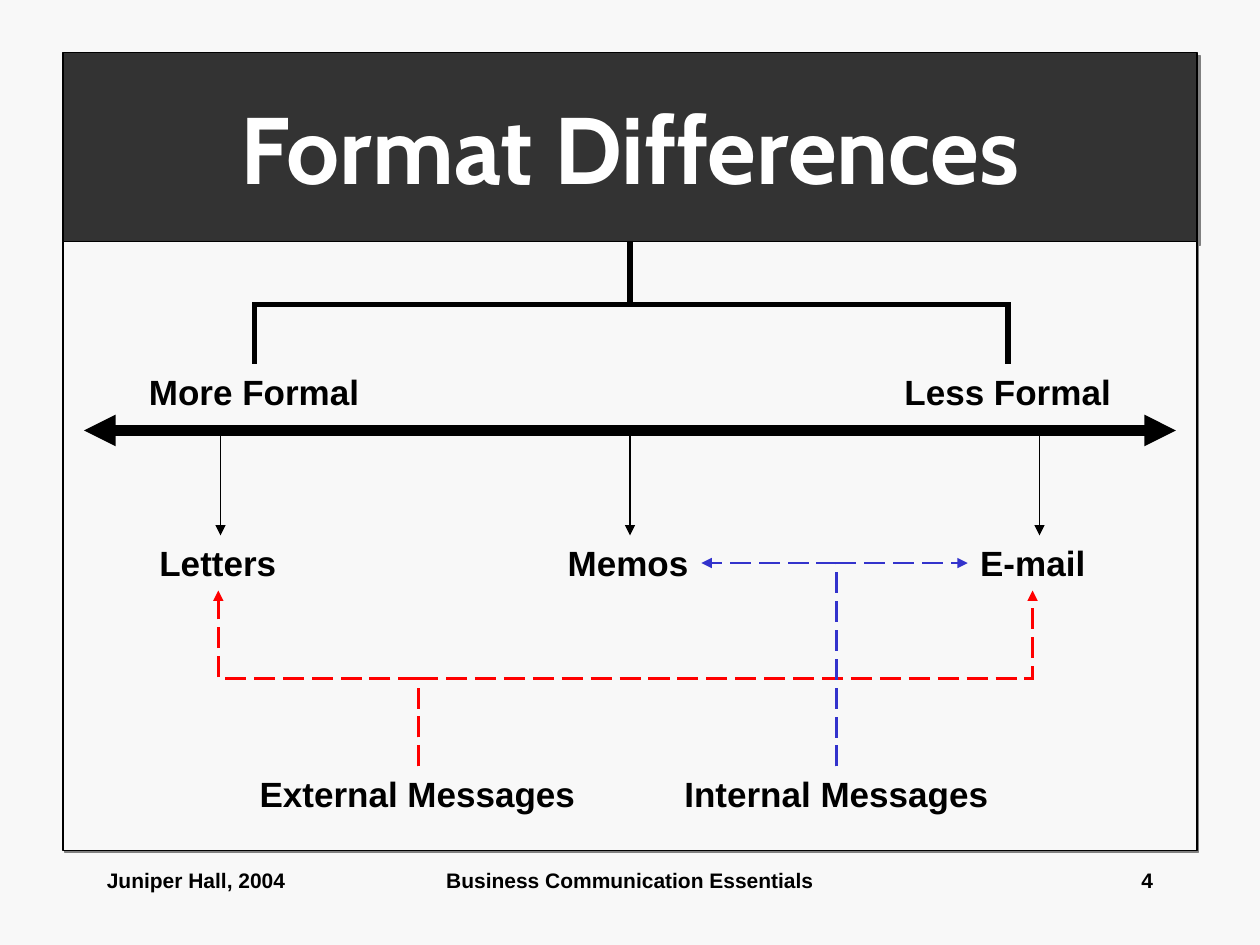
from lxml.etree import SubElement
from pptx import Presentation
from pptx.dml.color import RGBColor
from pptx.enum.dml import MSO_LINE
from pptx.enum.shapes import MSO_CONNECTOR, MSO_SHAPE
from pptx.enum.text import MSO_ANCHOR, MSO_AUTO_SIZE, PP_ALIGN
from pptx.oxml.ns import qn
from pptx.util import Pt

BLACK = RGBColor(0x00, 0x00, 0x00)
WHITE = RGBColor(0xFF, 0xFF, 0xFF)
PAPER = RGBColor(0xF8, 0xF8, 0xF8)
CHARCOAL = RGBColor(0x33, 0x33, 0x33)
GRAY = RGBColor(0x80, 0x80, 0x80)
RED = RGBColor(0xFF, 0x00, 0x00)
BLUE = RGBColor(0x33, 0x33, 0xCC)

deck = Presentation()
deck.slide_width, deck.slide_height = Pt(720), Pt(540)
page = deck.slides.add_slide(deck.slide_layouts[5])
page.background.fill.solid()
page.background.fill.fore_color.rgb = PAPER


def add_label(text, left, top, width, height, size, align=PP_ALIGN.LEFT, wrap=False):
    box = page.shapes.add_textbox(Pt(left), Pt(top), Pt(width), Pt(height))
    box.text_frame.word_wrap = wrap
    box.text_frame.auto_size = MSO_AUTO_SIZE.NONE if wrap else MSO_AUTO_SIZE.SHAPE_TO_FIT_TEXT
    para = box.text_frame.paragraphs[0]
    para.alignment = align
    span = para.add_run()
    span.text = text
    span.font.name, span.font.size, span.font.bold = "Arial", Pt(size), True
    span.font.color.rgb = BLACK
    return box


def style_line(connector, color, width, ends=(), dashed=False):
    connector.line.color.rgb = color
    connector.line.width = Pt(width)
    if dashed:
        connector.line.dash_style = MSO_LINE.LONG_DASH
    properties = connector._element.spPr
    outline = properties.find(qn("a:ln"))
    SubElement(outline, qn("a:miter"), lim="800000")
    for end in ends:
        SubElement(outline, qn(end), type="triangle")
    SubElement(properties, qn("a:effectLst"))


title = page.shapes.title
title.left, title.top, title.width, title.height = Pt(36), Pt(30), Pt(648), Pt(108)
frame = title.text_frame
frame.auto_size = MSO_AUTO_SIZE.NONE
frame.vertical_anchor = MSO_ANCHOR.MIDDLE
para = frame.paragraphs[0]
para.alignment = PP_ALIGN.CENTER
span = para.add_run()
span.text = "Format Differences"
span.font.name, span.font.size, span.font.bold = "Cabin", Pt(54), True
span.font.color.rgb = WHITE

panel = page.shapes.add_shape(MSO_SHAPE.RECTANGLE, Pt(36), Pt(138), Pt(648), Pt(348))
for shape, color, distance in ((title, CHARCOAL, 2.8), (panel, PAPER, 1.4)):
    shape.fill.solid()
    shape.fill.fore_color.rgb = color
    shape.line.color.rgb = BLACK
    shape.line.width = Pt(0.75)
    shape.shadow.inherit = False
    effects = shape._element.spPr.find(qn("a:effectLst"))
    shadow = SubElement(effects, qn("a:outerShdw"), dist=str(Pt(distance)),
                        dir="2700000", algn="ctr", rotWithShape="0")
    SubElement(shadow, qn("a:srgbClr"), val=str(GRAY))

for text, left, width in (("More Formal", 78, 135), ("Less Formal", 509.75, 133)):
    box = add_label(text, left, 208, width, 31.5, 20)
    box.fill.solid()
    box.fill.fore_color.rgb = PAPER

scale = page.shapes.add_connector(MSO_CONNECTOR.STRAIGHT, Pt(48), Pt(246), Pt(672), Pt(246))
style_line(scale, BLACK, 6, ("a:headEnd", "a:tailEnd"))

for text, left, width, center in (("Letters", 84, 82, 126), ("Memos", 317.25, 84, 360),
                                  ("E-mail", 553, 75, 594)):
    add_label(text, left, 306, width, 31.5, 20)
    arrow = page.shapes.add_connector(MSO_CONNECTOR.STRAIGHT, Pt(center), Pt(246),
                                      Pt(center), Pt(306))
    style_line(arrow, BLACK, 0.75, ("a:tailEnd",))

add_label("External Messages", 141.25, 438, 196, 31.5, 20)
add_label("Internal Messages", 384, 438, 189, 31.5, 20)

ARROW = ("a:tailEnd",)
elbows = (
    (360, 138, 145.5, 208, "bentConnector3", 51700, BLACK, 3, (), False),
    (360, 138, 576, 208, "bentConnector3", 51700, BLACK, 3, (), False),
    (239, 438, 124.75, 337.5, "bentConnector3", 50000, RED, 1.5, ARROW, True),
    (239, 438, 590, 337.5, "bentConnector3", 50000, RED, 1.5, ARROW, True),
    (478, 438, 400.75, 321.75, "bentConnector2", None, BLUE, 1.5, ARROW, True),
    (478, 438, 553, 321.75, "bentConnector2", None, BLUE, 1.5, ARROW, True),
)
for x1, y1, x2, y2, preset, bend, color, weight, ends, dashed in elbows:
    rightward, upward = x2 > x1, y2 < y1
    middle_x, middle_y = (x1 + x2) / 2, (y1 + y2) / 2
    half_width, half_height = abs(y2 - y1) / 2, abs(x2 - x1) / 2
    elbow = page.shapes.add_connector(
        MSO_CONNECTOR.ELBOW, Pt(middle_x - half_width), Pt(middle_y - half_height),
        Pt(middle_x + half_width), Pt(middle_y + half_height))
    properties = elbow._element.spPr
    transform = properties.find(qn("a:xfrm"))
    transform.set("rot", "5400000" if rightward == upward else "16200000")
    transform.set("flipH", str(int(rightward)))
    transform.set("flipV", str(int(upward)))
    geometry = properties.find(qn("a:prstGeom"))
    geometry.set("prst", preset)
    if bend:
        SubElement(geometry.find(qn("a:avLst")), qn("a:gd"), name="adj1", fmla=f"val {bend}")
    style_line(elbow, color, weight, ends, dashed)

for text, left, width, align in (
        ("Juniper Hall, 2004", 54, 150, PP_ALIGN.LEFT),
        ("Business Communication Essentials", 246, 228, PP_ALIGN.CENTER),
        ("4", 516, 150, PP_ALIGN.RIGHT)):
    add_label(text, left, 492, width, 36, 12, align, wrap=True)

deck.save("out.pptx")
